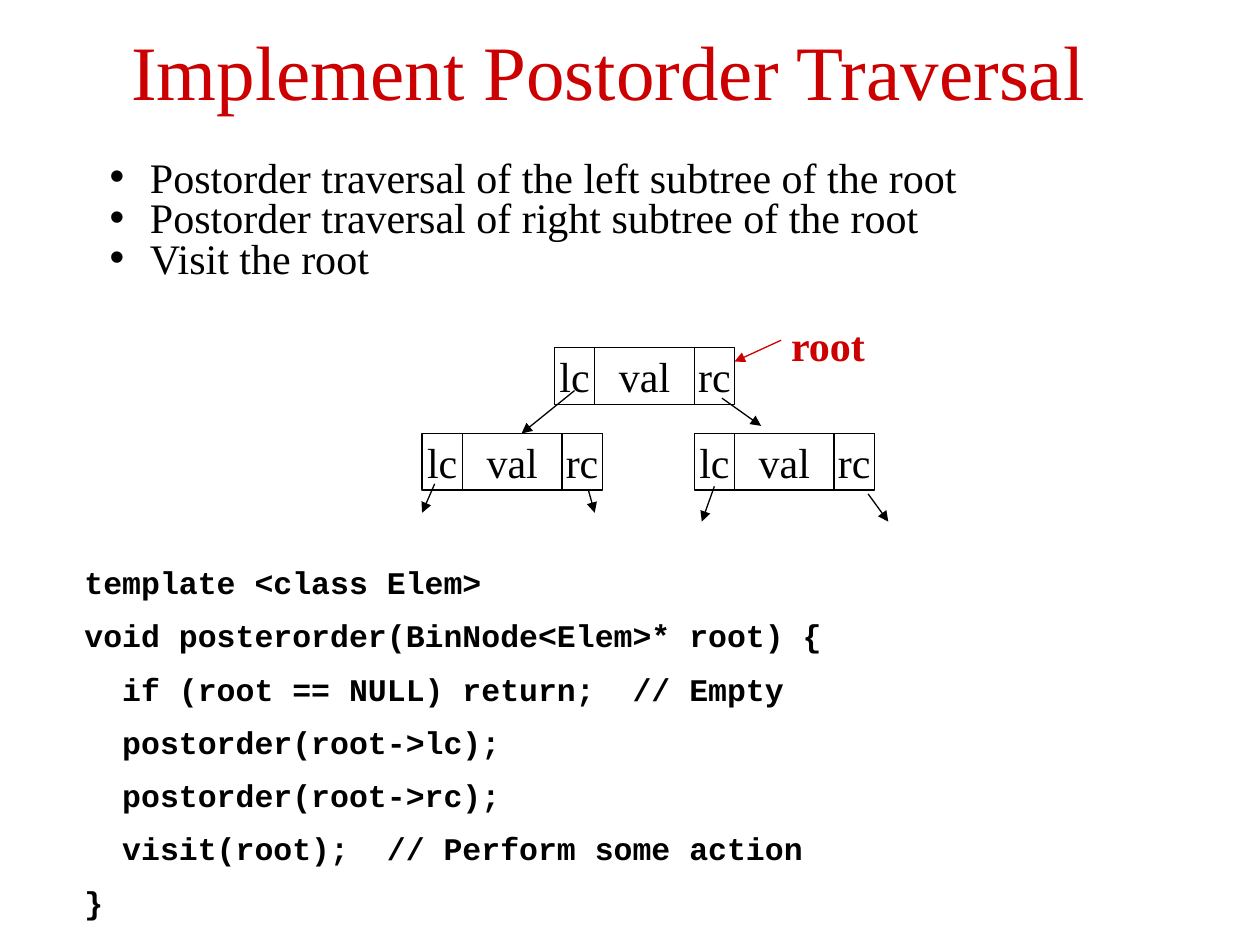
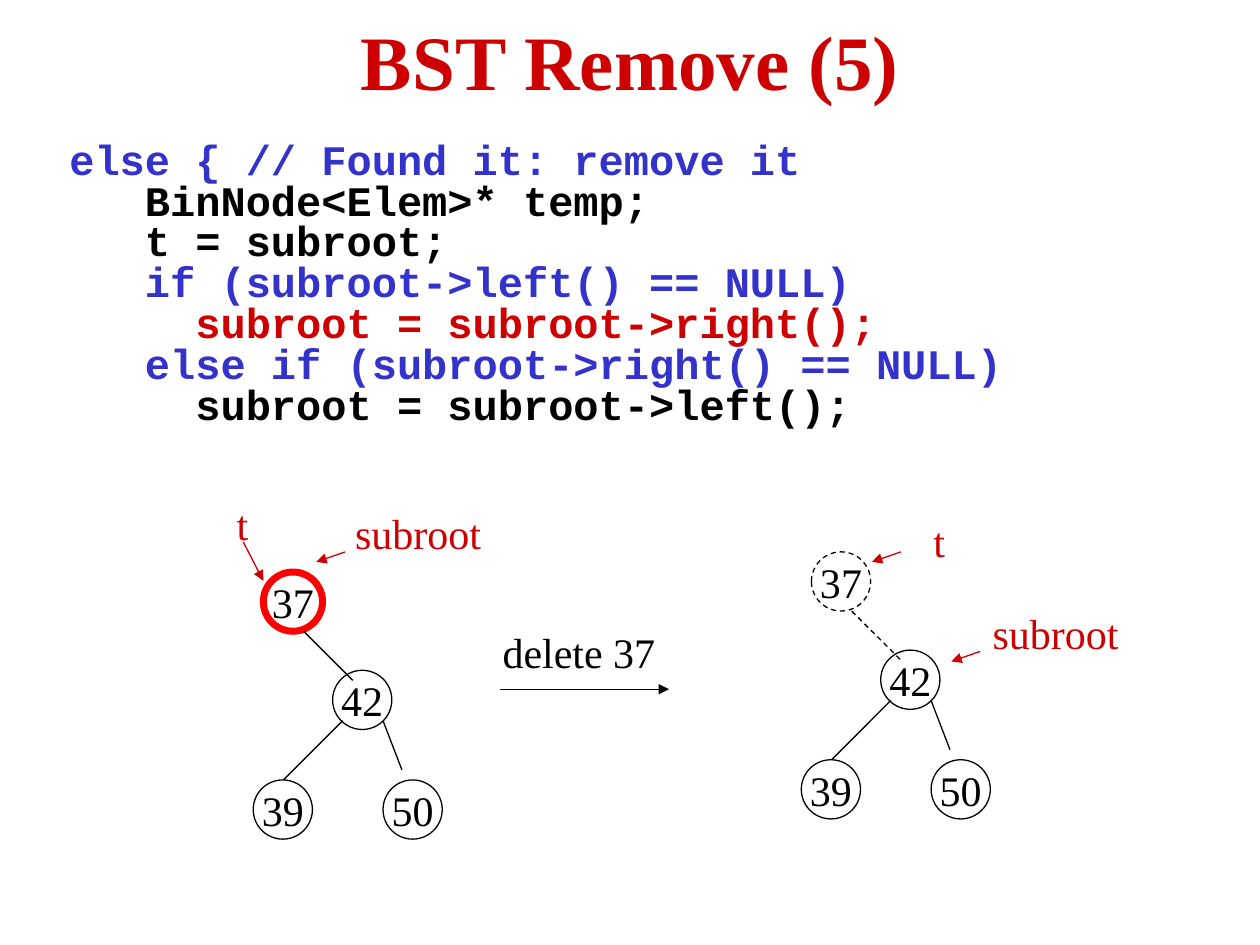
from lxml.etree import SubElement
from pptx import Presentation
from pptx.dml.color import RGBColor
from pptx.enum.dml import MSO_LINE
from pptx.enum.shapes import MSO_CONNECTOR, MSO_SHAPE
from pptx.enum.text import MSO_ANCHOR, MSO_AUTO_SIZE, PP_ALIGN
from pptx.oxml.ns import qn
from pptx.util import Inches, Pt

# Shared look
BLACK = RGBColor(0x00, 0x00, 0x00)
CRIMSON = RGBColor(0xCC, 0x00, 0x00)
RED = RGBColor(0xFF, 0x00, 0x00)
BLUE = RGBColor(0x33, 0x33, 0xCC)
SERIF, MONO = "Times New Roman", "Courier New"
TEXT_SIZE, TITLE_SIZE = 24, 44
THIN, THICK = 0.75, 4

# Slide 1: postorder traversal
STEPS = [
    "Postorder traversal of the left subtree of the root",
    "Postorder traversal of right subtree of the root",
    "Visit the root",
]
POSTORDER_CODE = [
    ("template <class Elem>", BLACK),
    ("void posterorder(BinNode<Elem>* root) {", BLACK),
    ("  if (root == NULL) return;  // Empty", BLACK),
    ("  postorder(root->lc);", BLACK),
    ("  postorder(root->rc);", BLACK),
    ("  visit(root);  // Perform some action", BLACK),
    ("}", BLACK),
]
FIELDS = [("lc", 0.32), ("val", 0.79), ("rc", 0.32)]
FIELD_HEIGHT = 0.45
RECORDS = [(4.4, 2.76), (3.35, 3.44), (5.51, 3.44)]
CHILD_ARROWS = [
    ((4.56, 3.1), (4.14, 3.44)), ((5.73, 3.16), (6.04, 3.38)),
    ((3.45, 3.84), (3.35, 4.07)), ((4.67, 3.89), (4.72, 4.07)),
    ((5.67, 3.86), (5.57, 4.14)), ((6.89, 3.92), (7.05, 4.14)),
]

# Slide 2: removing a node from a search tree
REMOVE_CODE = [
    (" else { // Found it: remove it", BLUE),
    ("    BinNode<Elem>* temp;", BLACK),
    ("    t = subroot;", BLACK),
    ("    if (subroot->left() == NULL)", BLUE),
    ("      subroot = subroot->right();", CRIMSON),
    ("    else if (subroot->right() == NULL)", BLUE),
    ("      subroot = subroot->left();", BLACK),
]
# Offsets from the top left corner of the tree's root node
NODE_SIZE = 0.47
ROOT_KEY = "37"
SUBTREE = {"42": (0.55, 0.78), "39": (-0.08, 1.65), "50": (0.95, 1.65)}
ROOT_EDGE = ((0.32, 0.47), (0.71, 0.86))
SUBTREE_EDGES = [((0.63, 1.18), (0.16, 1.65)), ((0.95, 1.18), (1.1, 1.57))]
TREES = [  # origin, root colour, root line width, root dash
    ((2.09, 4.54), RED, THICK, None),
    ((6.44, 4.38), BLACK, THIN, MSO_LINE.DASH),
]
LABELS = [  # text, left, top, width, colour
    ("t", 1.78, 3.91, 0.29, CRIMSON),
    ("subroot", 2.72, 3.98, 1.2, CRIMSON),
    ("delete 37", 3.89, 4.92, 1.41, BLACK),
    ("t", 7.31, 4.04, 0.29, CRIMSON),
    ("subroot", 7.78, 4.77, 1.2, CRIMSON),
]
POINTER_STARTS = [(2.74, 4.38), (7.15, 4.38), (7.78, 5.17)]
POINTER_STEP = (-0.23, 0.08)


def shifted(point, offset):
    return point[0] + offset[0], point[1] + offset[1]


def place(shape, left, top, width, height):
    shape.left, shape.top = Inches(left), Inches(top)
    shape.width, shape.height = Inches(width), Inches(height)


def set_font(para, color, size=TEXT_SIZE, name=SERIF, bold=False):
    font = para.font
    font.name, font.size, font.bold = name, Pt(size), bold
    font.color.rgb = color


def set_title(page, text, left, top, bold=False):
    title = page.shapes.title
    place(title, left, top, 9, 1)
    frame = title.text_frame
    frame.text = text
    frame.auto_size = MSO_AUTO_SIZE.NONE
    frame.vertical_anchor = MSO_ANCHOR.MIDDLE
    para = frame.paragraphs[0]
    para.alignment = PP_ALIGN.CENTER
    set_font(para, CRIMSON, TITLE_SIZE, bold=bold)


def fill_body(body, lines, area, spacing, gap=0, bullet=None, indent=0.38, **font):
    """Fill a body placeholder with (text, colour) lines."""
    place(body, *area)
    frame = body.text_frame
    frame.auto_size = MSO_AUTO_SIZE.NONE
    frame.text = "\n".join(text for text, _ in lines)
    for index, (para, (_, color)) in enumerate(zip(frame.paragraphs, lines)):
        properties = para._p.get_or_add_pPr()
        properties.set("marL", str(Inches(indent)))
        properties.set("indent", str(-Inches(indent)))
        if bullet:
            SubElement(properties, qn("a:buChar"), char=bullet)
        else:
            SubElement(properties, qn("a:buNone"))
        para.line_spacing = spacing
        para.space_before = Pt(gap if index else 0)
        set_font(para, color, **font)


def add_cell(page, kind, text, left, top, width, height,
             color=BLACK, weight=THIN, dash=None):
    """Add an unfilled, outlined shape with centred text."""
    cell = page.shapes.add_shape(kind, 0, 0, 0, 0)
    place(cell, left, top, width, height)
    cell.shadow.inherit = False
    cell.fill.background()
    cell.line.color.rgb, cell.line.width = color, Pt(weight)
    if dash:
        cell.line.dash_style = dash
    frame = cell.text_frame
    frame.text, frame.word_wrap = text, False
    frame.vertical_anchor = MSO_ANCHOR.MIDDLE
    para = frame.paragraphs[0]
    para.alignment = PP_ALIGN.CENTER
    set_font(para, BLACK)


def add_line(page, start, end, color=BLACK, arrow=False, dash=None):
    points = [Inches(value) for value in (*start, *end)]
    connector = page.shapes.add_connector(MSO_CONNECTOR.STRAIGHT, *points)
    line = connector.line
    line.color.rgb, line.width = color, Pt(THIN)
    if dash:
        line.dash_style = dash
    if arrow:
        SubElement(line._get_or_add_ln(), qn("a:tailEnd"), type="triangle")
    SubElement(connector._element.spPr, qn("a:effectLst"))


def add_label(page, text, left, top, width, color, bold=False):
    box = page.shapes.add_textbox(0, 0, 0, 0)
    place(box, left, top, width, 0.5)
    box.text_frame.text, box.text_frame.word_wrap = text, False
    set_font(box.text_frame.paragraphs[0], color, bold=bold)


def build_traversal(deck):
    page = deck.slides.add_slide(deck.slide_layouts.get_by_name("Two Content"))
    set_title(page, "Implement Postorder Traversal", 0.33, 0.05)
    fill_body(page.placeholders[1], [(step, BLACK) for step in STEPS],
              (0.77, 1.23, 7.3, 1.06), 0.8, bullet="•", indent=0.32)
    fill_body(page.placeholders[2], POSTORDER_CODE, (0.57, 4.36, 9, 3.1), 1.2,
              gap=4.5, size=18, name=MONO, bold=True)

    # Linked records
    for left, top in RECORDS:
        for field, width in FIELDS:
            add_cell(page, MSO_SHAPE.RECTANGLE, field, left, top, width, FIELD_HEIGHT)
            left += width
    for start, end in CHILD_ARROWS:
        add_line(page, start, end, arrow=True)
    add_line(page, (6.2, 2.7), (5.83, 2.87), CRIMSON, arrow=True)
    add_label(page, "root", 6.18, 2.49, 0.79, CRIMSON, bold=True)


def build_removal(deck):
    page = deck.slides.add_slide(deck.slide_layouts.get_by_name("Title and Content"))
    set_title(page, "BST Remove (5)", 0.5, -0.03, bold=True)
    fill_body(page.placeholders[1], REMOVE_CODE, (0.25, 1.15, 9.5, 2.6), 0.6,
              gap=6, name=MONO, bold=True)

    # Trees before and after the removal
    for origin, color, weight, dash in TREES:
        add_cell(page, MSO_SHAPE.OVAL, ROOT_KEY, *origin, NODE_SIZE, NODE_SIZE,
                 color, weight, dash)
        for key, offset in SUBTREE.items():
            add_cell(page, MSO_SHAPE.OVAL, key, *shifted(origin, offset),
                     NODE_SIZE, NODE_SIZE)
        start, end = ROOT_EDGE
        add_line(page, shifted(origin, start), shifted(origin, end), dash=dash)
        for start, end in SUBTREE_EDGES:
            add_line(page, shifted(origin, start), shifted(origin, end))

    # Labels and pointers
    for label in LABELS:
        add_label(page, *label)
    for start in POINTER_STARTS:
        add_line(page, start, shifted(start, POINTER_STEP), CRIMSON, arrow=True)
    add_line(page, (1.93, 4.3), (2.09, 4.61), CRIMSON, arrow=True)
    add_line(page, (3.97, 5.47), (5.31, 5.47), arrow=True)


def main():
    deck = Presentation()
    deck.slide_width, deck.slide_height = Inches(10), Inches(7.5)
    build_traversal(deck)
    build_removal(deck)
    deck.save("out.pptx")


if __name__ == "__main__":
    main()
